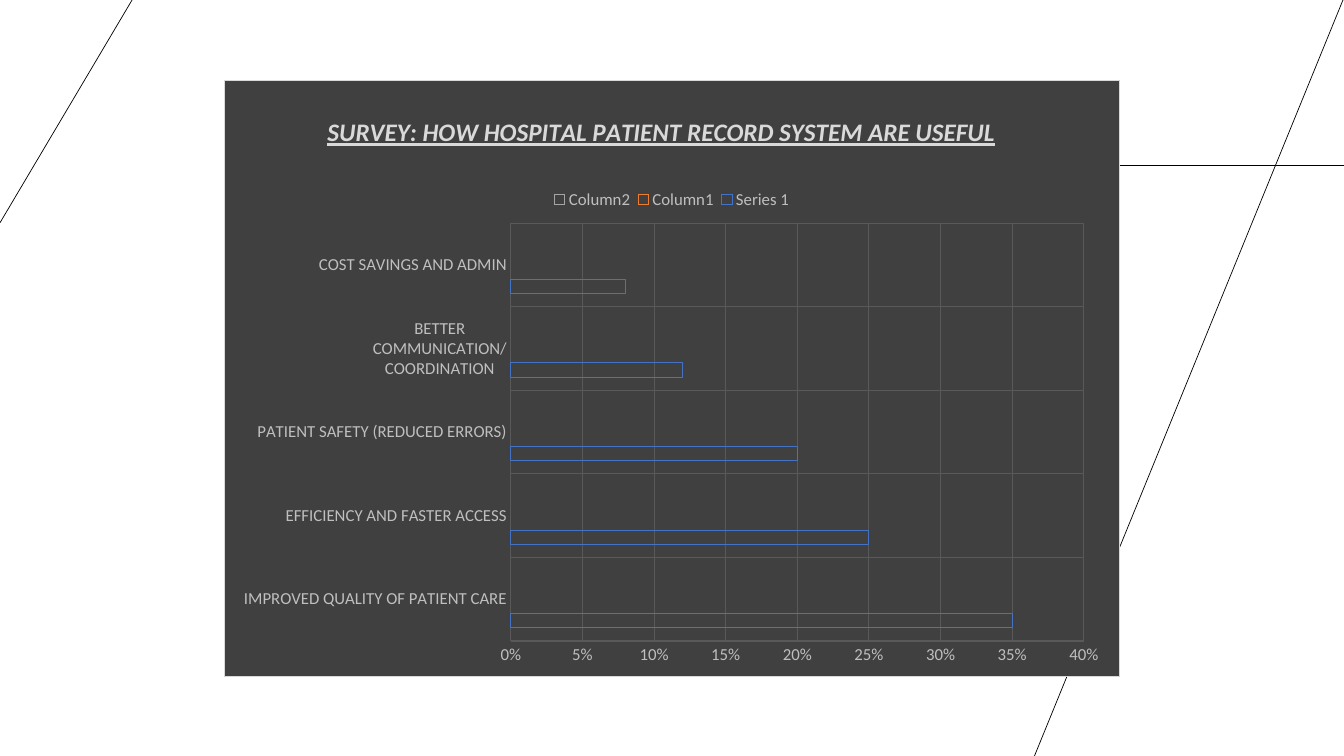
from lxml.etree import SubElement
from pptx import Presentation
from pptx.chart.data import CategoryChartData
from pptx.dml.color import RGBColor
from pptx.enum.chart import XL_CHART_TYPE, XL_LEGEND_POSITION, XL_TICK_MARK
from pptx.enum.shapes import MSO_CONNECTOR
from pptx.oxml import parse_xml
from pptx.oxml.ns import nsdecls, qn
from pptx.util import Inches, Pt

TITLE = "SURVEY: HOW HOSPITAL PATIENT RECORD SYSTEM ARE USEFUL"
SURVEY = {
    "IMPROVED QUALITY OF PATIENT CARE": 0.35,
    "EFFICIENCY AND FASTER ACCESS": 0.25,
    "PATIENT SAFETY (REDUCED ERRORS)": 0.2,
    "BETTER COMMUNICATION/COORDINATION": 0.12,
    "COST SAVINGS AND ADMIN": 0.08,
}
SERIES = {
    "Series 1": list(SURVEY.values()),
    "Column1": [None] * len(SURVEY),
    "Column2": [None] * len(SURVEY),
}
DECOR_LINES = [
    (9.95, 1.64, 13.33, 1.64),
    (13.32, 0, 10.26, 7.5),
    (0, 2.21, 1.31, 0),
]
CHART_BOX = (2.22, 0.79, 8.89, 5.93)
PLOT_BOX = {"x": 0.32, "y": 0.24, "w": 0.64, "h": 0.7}
LEGEND_BOX = {"x": 0.36, "y": 0.18, "w": 0.28, "h": 0.04}
TITLE_BOX = {"x": 0.11, "y": 0.05}

THEME = {
    "font": "Calibri",
    "panel": "404040",
    "border": "D9D9D9",
    "grid": "595959",
    "label": "BFBFBF",
    "title": "D9D9D9",
    "decor": "000000",
    "series": ["4472C4", "ED7D31", "A5A5A5"],
    "label_size": 12,
    "title_size": 18,
    "thin": 0.5,
    "line": 0.75,
}
LABEL_FORMAT = {"name": THEME["font"], "size": Pt(THEME["label_size"])}
TITLE_FORMAT = {"name": THEME["font"], "size": Pt(THEME["title_size"]),
                "bold": True, "italic": True, "underline": True}
AXIS_FORMAT = {"has_major_gridlines": True, "visible": True,
               "major_tick_mark": XL_TICK_MARK.NONE,
               "minor_tick_mark": XL_TICK_MARK.NONE}
VALUE_FORMAT = {"minimum_scale": 0, "maximum_scale": 0.4, "major_unit": 0.05}


def apply(obj, values):
    for name, value in values.items():
        setattr(obj, name, value)


def style_font(font, values, color):
    apply(font, values)
    font.color.rgb = RGBColor.from_string(color)


def style_line(line, color, width):
    line.color.rgb = RGBColor.from_string(color)
    line.width = Pt(width)


def place(parent, box, after=None):
    for old in parent.findall(qn("c:layout")):
        parent.remove(old)
    layout = parse_xml(f"<c:layout {nsdecls('c')}/>")
    manual = SubElement(layout, qn("c:manualLayout"))
    if parent.tag == qn("c:plotArea"):
        SubElement(manual, qn("c:layoutTarget")).set("val", "inner")
    for key in ("x", "y"):
        SubElement(manual, qn(f"c:{key}Mode")).set("val", "edge")
    for key, value in box.items():
        SubElement(manual, qn(f"c:{key}")).set("val", str(value))
    if after:
        parent.find(qn(after)).addnext(layout)
    else:
        parent.insert(0, layout)


def add_decor(s):
    for x1, y1, x2, y2 in DECOR_LINES:
        sp = s.shapes.add_connector(MSO_CONNECTOR.STRAIGHT, *map(Inches, (x1, y1, x2, y2)))
        style_line(sp.line, THEME["decor"], THEME["thin"])
        SubElement(sp.element.spPr, qn("a:effectLst"))


def add_survey_chart(s):
    data = CategoryChartData(number_format="0%")
    data.categories = list(SURVEY)
    for name, values in SERIES.items():
        data.add_series(name, values)
    chart = s.shapes.add_chart(XL_CHART_TYPE.BAR_CLUSTERED, *map(Inches, CHART_BOX), data).chart
    style_font(chart.font, LABEL_FORMAT, THEME["label"])

    plot = chart.plots[0]
    apply(plot, {"gap_width": 182, "overlap": -50, "vary_by_categories": False})
    for series, color in zip(plot.series, THEME["series"]):
        series.format.fill.background()
        style_line(series.format.line, color, THEME["line"])

    for axis in (chart.category_axis, chart.value_axis):
        apply(axis, AXIS_FORMAT)
        axis.format.line.fill.background()
        style_line(axis.major_gridlines.format.line, THEME["grid"], THEME["line"])
        style_font(axis.tick_labels.font, LABEL_FORMAT, THEME["label"])
    apply(chart.value_axis, VALUE_FORMAT)
    apply(chart.value_axis.tick_labels, {"number_format": "0%", "number_format_is_linked": False})

    chart.has_title = True
    p = chart.chart_title.text_frame.paragraphs[0]
    r = p.add_run()
    r.text = TITLE
    style_font(r.font, TITLE_FORMAT, THEME["title"])

    chart.has_legend = True
    apply(chart.legend, {"position": XL_LEGEND_POSITION.TOP, "include_in_layout": False})
    style_font(chart.legend.font, LABEL_FORMAT, THEME["label"])

    root = chart.element
    place(root.find(".//" + qn("c:plotArea")), PLOT_BOX)
    place(root.find(".//" + qn("c:legend")), LEGEND_BOX, "c:legendPos")
    place(root.find(".//" + qn("c:title")), TITLE_BOX, "c:tx")
    root.find(qn("c:chart")).addnext(parse_xml(
        f"<c:spPr {nsdecls('c', 'a')}>"
        f"<a:solidFill><a:srgbClr val=\"{THEME['panel']}\"/></a:solidFill>"
        f"<a:ln w=\"{Pt(THEME['line'])}\"><a:solidFill>"
        f"<a:srgbClr val=\"{THEME['border']}\"/></a:solidFill></a:ln></c:spPr>"))


def main():
    prs = Presentation()
    apply(prs, {"slide_width": Inches(13.33), "slide_height": Inches(7.5)})
    s = prs.slides.add_slide(prs.slide_layouts[6])
    add_decor(s)
    add_survey_chart(s)
    prs.save("out.pptx")


if __name__ == "__main__":
    main()
